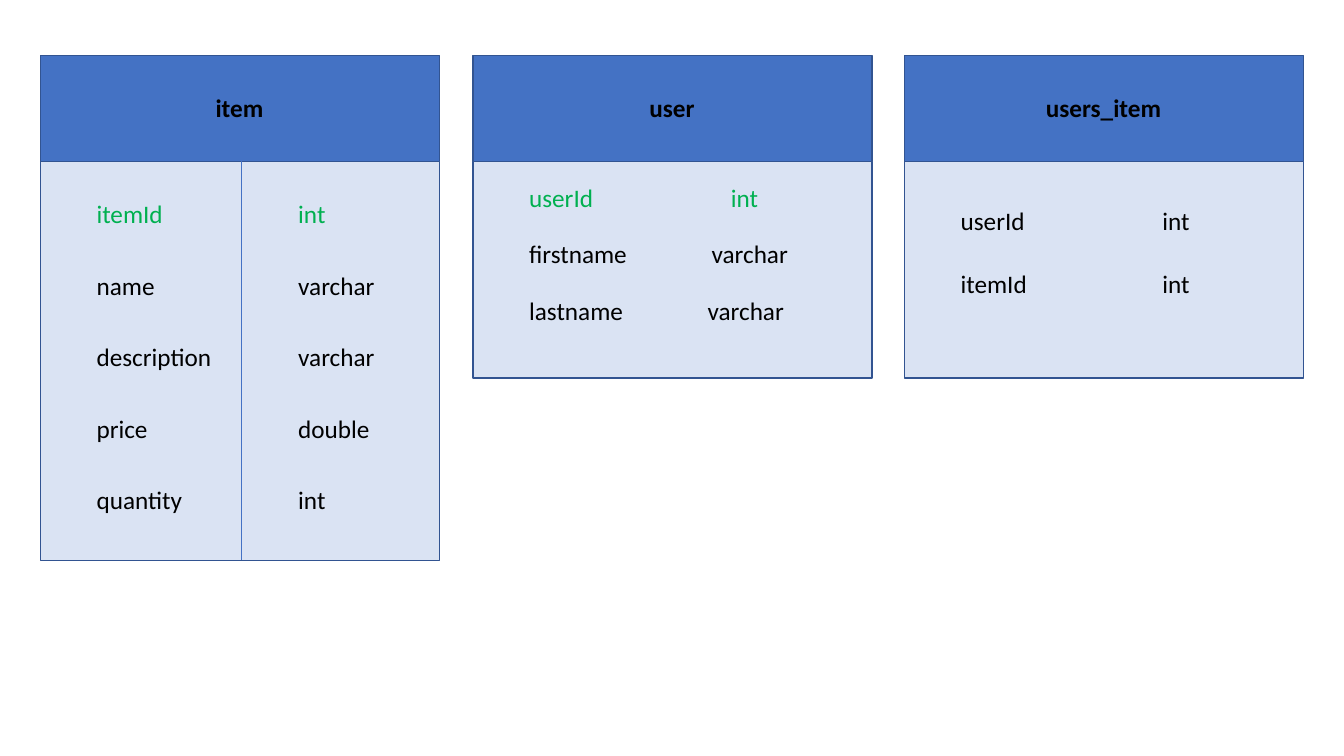
from pptx import Presentation
from pptx.dml.color import RGBColor
from pptx.enum import shapes, text
from pptx.oxml.ns import qn
from pptx.util import Inches, Pt
from lxml import etree

BLUE = RGBColor(0x44, 0x72, 0xC4)
EDGE = RGBColor(0x32, 0x54, 0x91)
PALE = RGBColor(0xDA, 0xE3, 0xF3)
GREEN = RGBColor(0x00, 0xB0, 0x50)
BLACK = RGBColor(0, 0, 0)

# Tables: name, left, body height, first row top, row step,
# rows of (field, type, type offset, colour)
TABLES = [
    ("item", 0.4, 3.96, 1.92, 0.71, [
        ("itemId", "int", 2, GREEN),
        ("name", "varchar", 2, BLACK),
        ("description", "varchar", 2, BLACK),
        ("price", "double", 2, BLACK),
        ("quantity", "int", 2, BLACK)]),
    ("user", 4.69, 2.15, 1.76, 0.56, [
        ("userId", "int", 2, GREEN),
        ("firstname", "varchar", 1.81, BLACK),
        ("lastname", "varchar", 1.77, BLACK)]),
    ("users_item", 8.97, 2.15, 1.99, 0.62, [
        ("userId", "int", 2, BLACK),
        ("itemId", "int", 2, BLACK)]),
]
TOP, HEAD, WIDTH = 0.55, 1.05, 3.96
BODY = TOP + HEAD
INSET, TEXT_W, TEXT_H = 0.46, 3.03, 0.4
SPLIT = 2.39

deck = Presentation()
deck.slide_width, deck.slide_height = Inches(13.33), Inches(7.5)
slide = deck.slides.add_slide(deck.slide_layouts[6])


def add_box(left, top, height, fill):
    box = slide.shapes.add_shape(
        shapes.MSO_SHAPE.RECTANGLE,
        Inches(left), Inches(top), Inches(WIDTH), Inches(height))
    box.shadow.inherit = False
    box.fill.solid()
    box.fill.fore_color.rgb = fill
    box.line.color.rgb = EDGE
    box.line.width = Pt(1)


def add_label(left, top, words, color, bold=False):
    box = slide.shapes.add_textbox(
        Inches(left), Inches(top), Inches(TEXT_W), Inches(TEXT_H))
    frame = box.text_frame
    frame.word_wrap = True
    frame.auto_size = text.MSO_AUTO_SIZE.SHAPE_TO_FIT_TEXT
    frame.text = words
    para = frame.paragraphs[0]
    font = para.runs[0].font
    font.name, font.size, font.bold = "Calibri", Pt(18), bold
    font.color.rgb = color
    return para


def add_stop(para, offset):
    stops = etree.SubElement(para._p.get_or_add_pPr(), qn("a:tabLst"))
    etree.SubElement(stops, qn("a:tab"), pos=str(Inches(offset)), algn="l")


# Header, body and rows of each table
for name, left, height, first, step, rows in TABLES:
    add_box(left, TOP, HEAD, BLUE)
    add_box(left, BODY, height, PALE)
    title = add_label(left + INSET, 0.87, name, BLACK, True)
    title.alignment = text.PP_ALIGN.CENTER
    for i, (field, kind, offset, color) in enumerate(rows):
        row = add_label(left + INSET, first + i * step,
                        f"{field}\t{kind}", color)
        add_stop(row, offset)

# Divider between the item columns
rule = slide.shapes.add_connector(
    shapes.MSO_CONNECTOR.STRAIGHT, Inches(SPLIT), Inches(BODY),
    Inches(SPLIT), Inches(BODY + TABLES[0][2]))
rule.line.color.rgb = BLUE
rule.line.width = Pt(0.5)
etree.SubElement(rule._element.spPr, qn("a:effectLst"))

deck.save("out.pptx")
